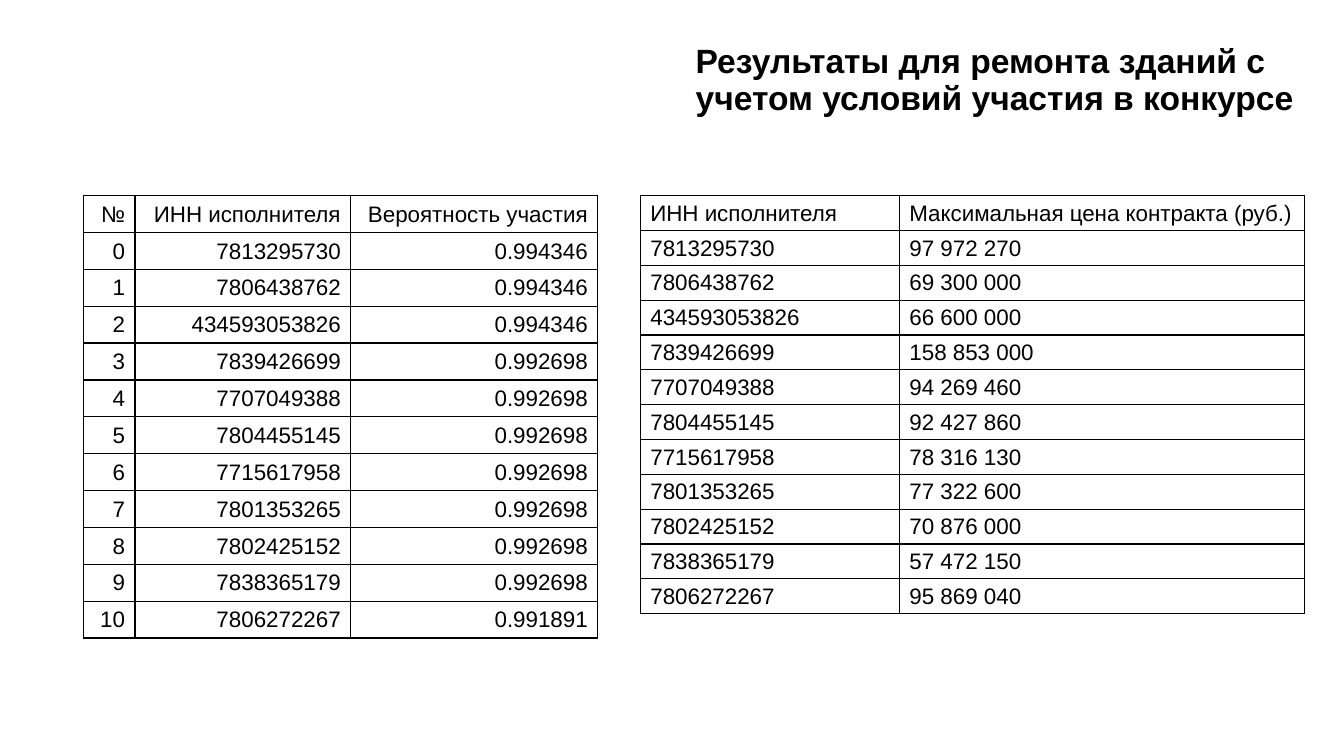
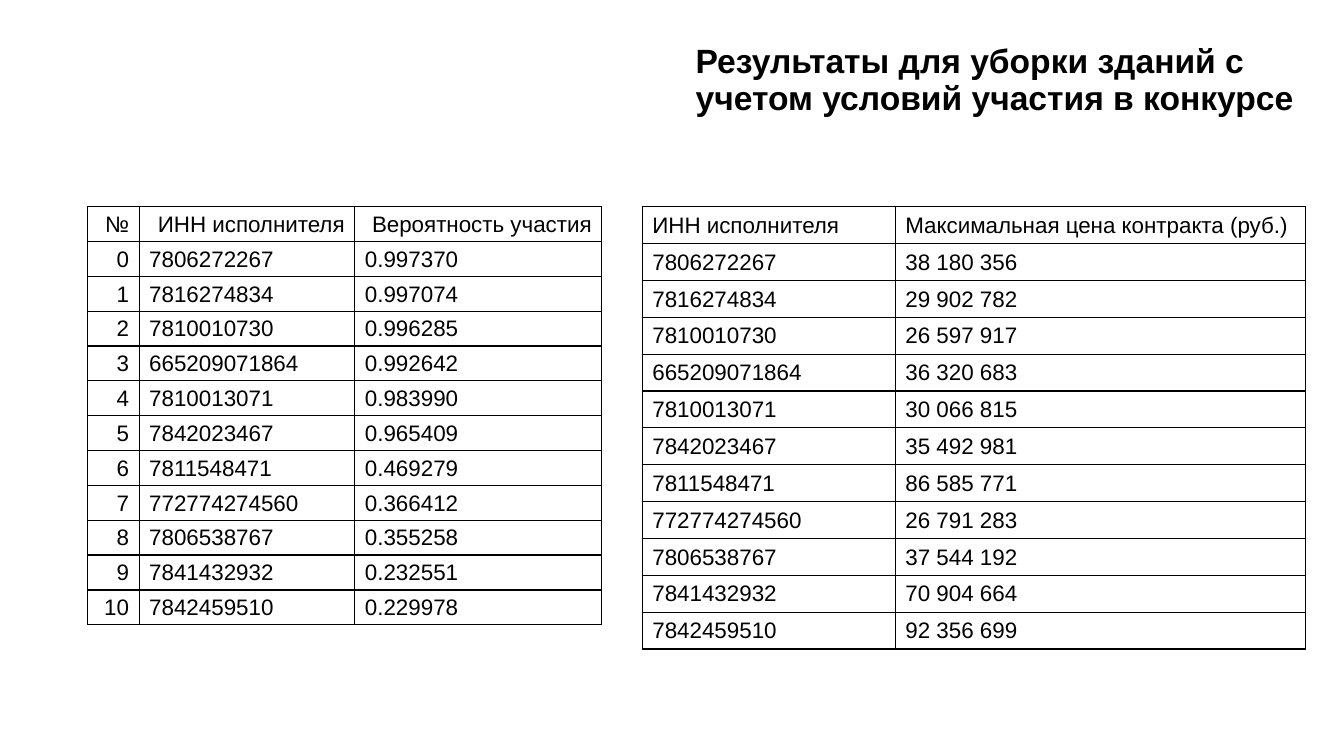
from lxml.etree import SubElement
from pptx import Presentation
from pptx.dml.color import RGBColor
from pptx.enum.text import MSO_ANCHOR, PP_ALIGN
from pptx.oxml.ns import qn
from pptx.util import Pt

PX = 9144  # EMU; 100 px to the inch
FONT = "Arial"
INK = "000000"
LEFT, RIGHT = PP_ALIGN.LEFT, PP_ALIGN.RIGHT
TALL, TIGHT = 439, 415  # table heights
ODDS_COLS = (51, 214, 245)
ODDS_HEAD = ("№", "ИНН исполнителя", "Вероятность участия")
PRICE_HEAD = ("ИНН исполнителя", "Максимальная цена контракта (руб.)")

# Tax number, chance of taking part, top contract price
REPAIR = [
    ("7813295730", "0.994346", "97 972 270"),
    ("7806438762", "0.994346", "69 300 000"),
    ("434593053826", "0.994346", "66 600 000"),
    ("7839426699", "0.992698", "158 853 000"),
    ("7707049388", "0.992698", "94 269 460"),
    ("7804455145", "0.992698", "92 427 860"),
    ("7715617958", "0.992698", "78 316 130"),
    ("7801353265", "0.992698", "77 322 600"),
    ("7802425152", "0.992698", "70 876 000"),
    ("7838365179", "0.992698", "57 472 150"),
    ("7806272267", "0.991891", "95 869 040"),
]
CLEAN = [
    ("7806272267", "0.997370", "38 180 356"),
    ("7816274834", "0.997074", "29 902 782"),
    ("7810010730", "0.996285", "26 597 917"),
    ("665209071864", "0.992642", "36 320 683"),
    ("7810013071", "0.983990", "30 066 815"),
    ("7842023467", "0.965409", "35 492 981"),
    ("7811548471", "0.469279", "86 585 771"),
    ("772774274560", "0.366412", "26 791 283"),
    ("7806538767", "0.355258", "37 544 192"),
    ("7841432932", "0.232551", "70 904 664"),
    ("7842459510", "0.229978", "92 356 699"),
]


def px(num):
    return int(num * PX)


def rgb(code):
    return RGBColor.from_string(code)


def style(para, size, align, bold=False):
    para.alignment = align
    for run in para.runs:
        font = run.font
        font.name, font.size, font.bold = FONT, Pt(size), bold
        font.color.rgb = rgb(INK)


def add_title(slide, text):
    box = slide.shapes.title
    box.left, box.top, box.width, box.height = map(px, (680, 8, 616, 145))
    frame = box.text_frame
    frame.text = text
    frame.vertical_anchor = MSO_ANCHOR.MIDDLE
    para = frame.paragraphs[0]
    para.line_spacing = 0.9
    style(para, 24, LEFT, bold=True)


def add_rules(cell):
    """Draw a thin line on all four sides of the cell."""
    props = cell._tc.get_or_add_tcPr()
    for side in ("a:lnL", "a:lnR", "a:lnT", "a:lnB"):
        line = SubElement(props, qn(side), w=str(Pt(1)))
        fill = SubElement(line, qn("a:solidFill"))
        SubElement(fill, qn("a:srgbClr"), val=INK)


def fill_cell(cell, text, align):
    cell.text = text
    cell.vertical_anchor = MSO_ANCHOR.MIDDLE
    cell.margin_left = cell.margin_right = px(10)
    cell.margin_top, cell.margin_bottom = px(5), px(4)
    add_rules(cell)
    cell.fill.background()
    style(cell.text_frame.paragraphs[0], 16, align)


def add_grid(slide, spot, cols, high, rows, head, body):
    """Add a ruled table; head and body give each column's alignment."""
    left, top = spot
    frame = slide.shapes.add_table(
        len(rows), len(cols), px(left), px(top), px(sum(cols)), px(high))
    table = frame.table
    table.first_row = table.horz_banding = False
    for col, width in zip(table.columns, cols):
        col.width = px(width)
    for r, row in enumerate(rows):
        for c, text in enumerate(row):
            fill_cell(table.cell(r, c), text, (body if r else head)[c])


def add_odds(slide, spot, high, data, body):
    rows = [ODDS_HEAD] + [(str(n), inn, odds)
                          for n, (inn, odds, _) in enumerate(data)]
    add_grid(slide, spot, ODDS_COLS, high, rows, [RIGHT] * 3, body)


def add_prices(slide, spot, cols, high, data):
    rows = [PRICE_HEAD] + [(inn, price) for inn, _, price in data]
    add_grid(slide, spot, cols, high, rows, [LEFT] * 2, [LEFT] * 2)


def add_page(deck, topic):
    slide = deck.slides.add_slide(deck.slide_layouts[5])
    add_title(slide, f"Результаты для {topic} зданий с учетом условий "
                     "участия в конкурсе")
    return slide


def main():
    deck = Presentation()
    deck.slide_width, deck.slide_height = px(1333), px(750)

    page = add_page(deck, "ремонта")
    add_odds(page, (83, 194), TALL, REPAIR, [RIGHT] * 3)
    add_prices(page, (635, 194), (257, 402), TIGHT, REPAIR)

    page = add_page(deck, "уборки")
    add_odds(page, (87, 205), TIGHT, CLEAN, [RIGHT, LEFT, LEFT])
    add_prices(page, (637, 205), (251, 407), TALL, CLEAN)

    deck.save("out.pptx")


if __name__ == "__main__":
    main()
